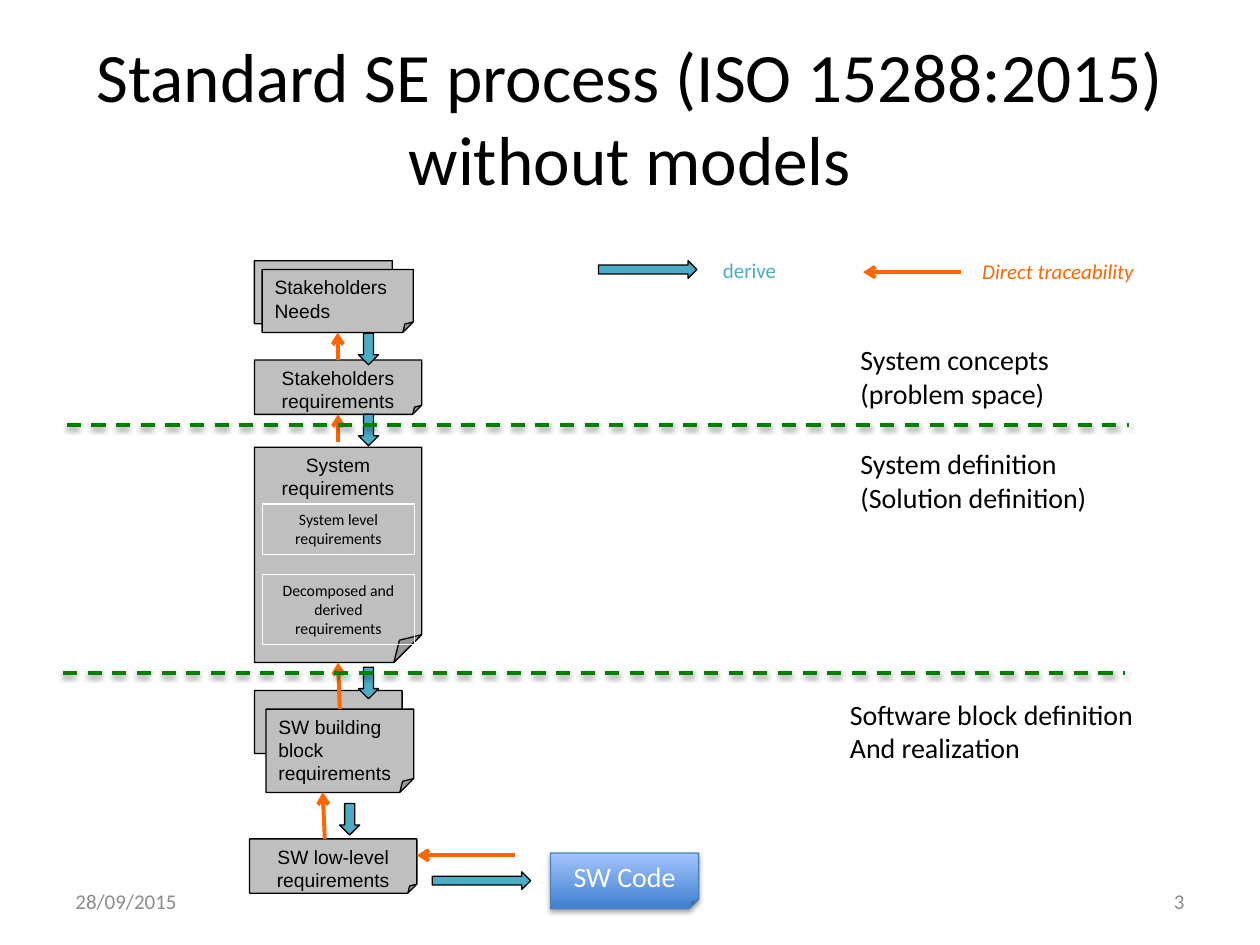
"""Build a slide showing requirement derivation and traceability without models."""
from dataclasses import dataclass

from lxml import etree
from pptx import Presentation
from pptx.dml.color import RGBColor
from pptx.enum.dml import MSO_LINE
from pptx.enum.shapes import MSO_CONNECTOR, MSO_SHAPE
from pptx.enum.text import MSO_ANCHOR, PP_ALIGN
from pptx.oxml.ns import qn
from pptx.util import Pt

SHEET, FRAME, ARROW = MSO_SHAPE.FOLDED_CORNER, MSO_SHAPE.RECTANGLE, MSO_SHAPE.RIGHT_ARROW
STRAIGHT, DASH = MSO_CONNECTOR.STRAIGHT, MSO_LINE.DASH
LEFT, CENTER, RIGHT = PP_ALIGN.LEFT, PP_ALIGN.CENTER, PP_ALIGN.RIGHT
TOP, MIDDLE = MSO_ANCHOR.TOP, MSO_ANCHOR.MIDDLE
TOP_SIDE, BOTTOM_SIDE = 0, 2


@dataclass(frozen=True)
class Theme:
    """Colours, fonts and type sizes of the slide."""
    body: str = "Calibri"
    sheet_font: str = "Arial"
    black: str = "000000"
    white: str = "FFFFFF"
    sheet: str = "BFBFBF"
    derive: str = "4BACC6"
    trace: str = "FF6600"
    border: str = "008000"
    muted: str = "8C8C8C"
    code_dark: str = "3F80CE"
    code_light: str = "A4C4FF"
    code_line: str = "4B7EBC"
    title_size: float = 39.6
    large: float = 16
    small: float = 12
    sheet_size: float = 11
    frame_size: float = 9


T = Theme()


def rgb(color):
    """Turn a hex string into a colour."""
    return RGBColor.from_string(color)


def set_text(sp, text, size, color=T.black, font=T.body, align=LEFT, anchor=TOP, italic=False):
    """Write text into a shape and format its runs."""
    tf = sp.text_frame
    tf.text = text
    tf.word_wrap = True
    tf.vertical_anchor = anchor
    for p in tf.paragraphs:
        p.alignment = align
        for r in p.runs:
            r.font.name, r.font.size = font, Pt(size)
            r.font.italic = italic
            r.font.color.rgb = rgb(color)


def add_label(s, box, text, size, **style):
    """Add a text box."""
    sp = s.shapes.add_textbox(*map(Pt, box))
    set_text(sp, text, size, **style)


def add_box(s, kind, box, fill=None, line=T.black):
    """Add a preset shape with a thin outline and no shadow."""
    sp = s.shapes.add_shape(kind, *map(Pt, box))
    sp.shadow.inherit = False
    if fill:
        sp.fill.solid()
        sp.fill.fore_color.rgb = rgb(fill)
    else:
        sp.fill.background()
    sp.line.color.rgb = rgb(line)
    sp.line.width = Pt(0.75)
    return sp


def add_sheet(s, box, text="", align=CENTER):
    """Add a grey requirement sheet."""
    sp = add_box(s, SHEET, box, T.sheet)
    set_text(sp, text, T.sheet_size, font=T.sheet_font, align=align)
    return sp


def add_frame(s, top, height, text):
    """Add a white-outlined group inside the system requirements."""
    sp = add_box(s, FRAME, (149.8, top, 87.1, height), line=T.white)
    set_text(sp, text, T.frame_size, align=CENTER)


def add_derive(s, left, top, down=False):
    """Add a block arrow, pointing right or down."""
    size = (18, 11.5) if down else (56.2, 10.1)
    sp = add_box(s, ARROW, (left, top, *size), T.derive)
    sp.rotation = 90 if down else 0


def add_line(s, ends, color, width):
    """Add a straight connector without a shadow."""
    cxn = s.shapes.add_connector(STRAIGHT, *map(Pt, ends))
    cxn.line.color.rgb = rgb(color)
    cxn.line.width = Pt(width)
    etree.SubElement(cxn._element.spPr, qn("a:effectLst"))
    return cxn


def add_trace(s, ends, source=None, target=None):
    """Add a traceability arrow, joined to the given sheets."""
    cxn = add_line(s, ends, T.trace, 2.25)
    etree.SubElement(cxn.line._get_or_add_ln(), qn("a:tailEnd"), type="arrow")
    if source is not None:
        cxn.begin_connect(source, TOP_SIDE)
    if target is not None:
        cxn.end_connect(target, BOTTOM_SIDE)


def add_shadow(sp, distance, opacity):
    """Give a shape or line a soft shadow below it."""
    effects = sp._element.spPr.find(qn("a:effectLst"))
    shadow = etree.SubElement(effects, qn("a:outerShdw"), blurRad=str(Pt(3.1)),
                              dist=str(Pt(distance)), dir="5400000", rotWithShape="0")
    color = etree.SubElement(shadow, qn("a:srgbClr"), val=T.black)
    etree.SubElement(color, qn("a:alpha"), val=str(opacity * 1000))


def add_border(s, left, top):
    """Add a dashed border between two definition levels."""
    cxn = add_line(s, (left, top, left + 607, top), T.border, 2)
    cxn.line.dash_style = DASH
    add_shadow(cxn, 1.6, 38)


def add_code(s):
    """Add the blue software code sheet."""
    sp = add_box(s, SHEET, (314.6, 487.4, 84.6, 31.9), line=T.code_line)
    sp.fill.gradient()
    sp.fill.gradient_angle = 90
    for stop, color in zip(sp.fill.gradient_stops, (T.code_dark, T.code_light)):
        stop.color.rgb = rgb(color)
    add_shadow(sp, 1.8, 35)
    set_text(sp, "SW Code", T.large, color=T.white, align=CENTER, anchor=MIDDLE)


def add_chain(s):
    """Add the requirement sheets and the arrows between them."""
    add_sheet(s, (145.4, 149, 78.8, 36))
    needs = add_sheet(s, (149.8, 154, 86.4, 36), "Stakeholders Needs", LEFT)
    system = add_sheet(s, (145.4, 255.6, 95.6, 123), "System requirements")
    add_sheet(s, (145.4, 394.6, 84.4, 36))
    block = add_sheet(s, (152, 405.2, 84.4, 47.6), "SW building block requirements", LEFT)
    stakeholders = add_sheet(s, (145.4, 205.8, 95.6, 31), "Stakeholders\nrequirements")
    add_sheet(s, (142.6, 479.4, 95.6, 31), "SW low-level requirements")
    add_frame(s, 288, 28.9, "System level requirements")
    add_frame(s, 328.2, 40, "Decomposed and derived requirements")

    add_trace(s, (193.2, 205.8, 193.2, 190), stakeholders, needs)
    add_trace(s, (193.2, 252.6, 193.2, 236.8), target=stakeholders)
    add_trace(s, (194.2, 405.2, 193.2, 378.6), block, system)
    add_trace(s, (185.6, 479.4, 184.4, 452.8))
    add_trace(s, (294.5, 488.8, 238.2, 488.8))
    for left, top in ((201.6, 193.7), (201.6, 240), (201.6, 384.5), (190.8, 462.4)):
        add_derive(s, left, top, down=True)
    add_derive(s, 247, 498.2)
    add_code(s)


def add_legend(s):
    """Add the key to the two kinds of arrow."""
    add_derive(s, 342, 149)
    add_label(s, (406, 143.5, 46, 21.6), "derive", T.small, color=T.derive)
    add_trace(s, (549.4, 155.5, 493.2, 155.5))
    add_label(s, (554.2, 144.3, 108, 21.6), "Direct traceability", T.small,
              color=T.trace, italic=True)


def add_levels(s):
    """Add the level names and the borders between them."""
    add_border(s, 36, 384.5)
    add_border(s, 38.2, 242.8)
    for left, top, text in ((484.6, 192.2, "System concepts\n(problem space)"),
                            (484.6, 251.6, "System definition\n(Solution definition)"),
                            (478.6, 394.8, "Software block definition\nAnd realization")):
        add_label(s, (left, top, 182, 46), text, T.large)


def main():
    """Build and save the slide."""
    prs = Presentation()
    prs.slide_width, prs.slide_height = Pt(720), Pt(540)
    s = prs.slides.add_slide(prs.slide_layouts[6])
    add_label(s, (36, 21.6, 648, 90), "Standard SE process (ISO 15288:2015) without models",
              T.title_size, align=CENTER, anchor=MIDDLE)
    add_chain(s)
    add_legend(s)
    add_levels(s)
    for left, text, align in ((36, "28/09/2015", LEFT), (516, "3", RIGHT)):
        add_label(s, (left, 500.5, 168, 28.8), text, T.small, color=T.muted,
                  align=align, anchor=MIDDLE)
    prs.save("out.pptx")


if __name__ == "__main__":
    main()
